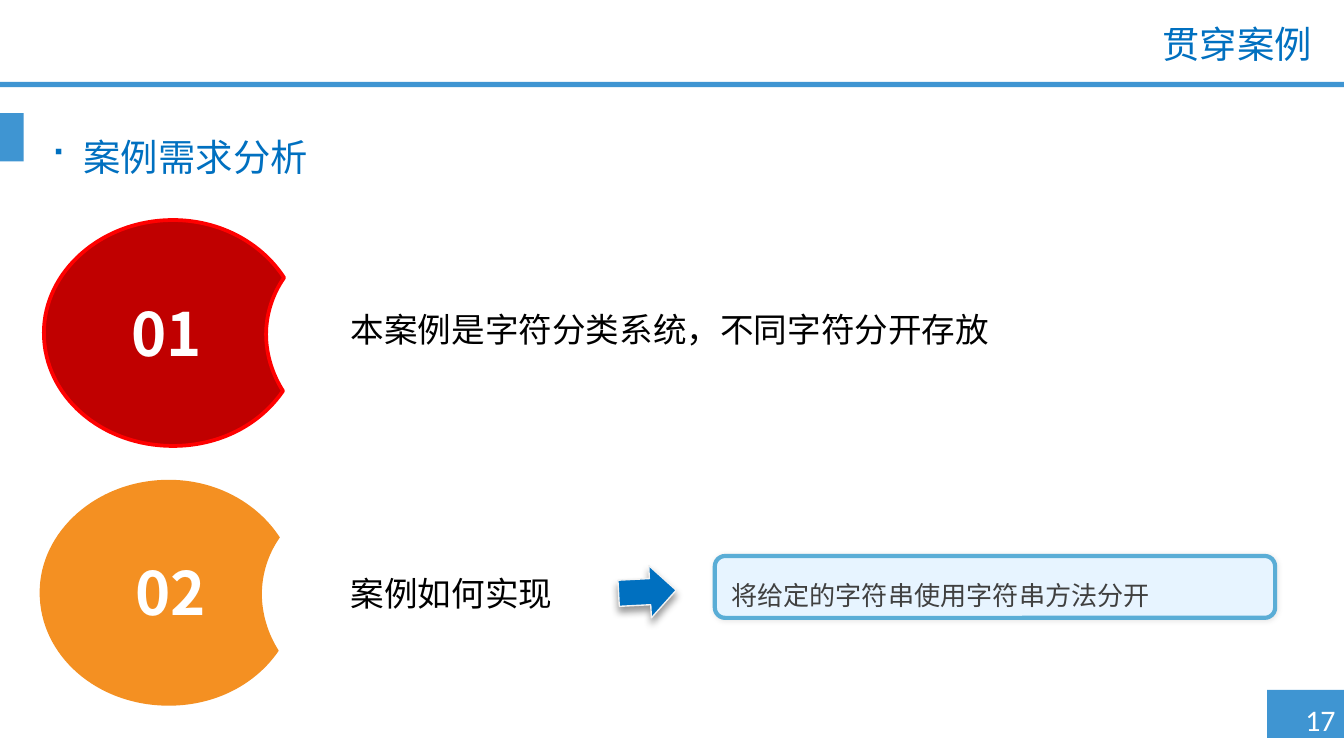
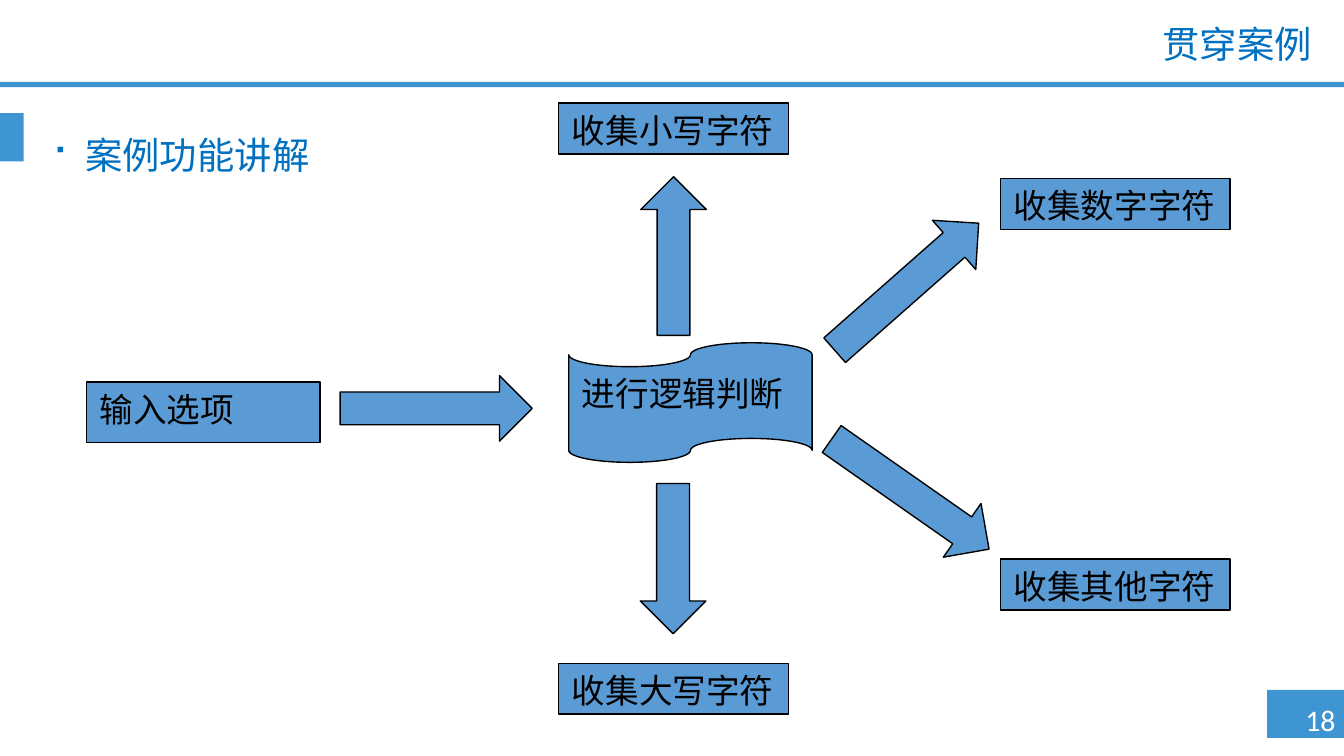
from dataclasses import dataclass, field
from typing import Optional

from lxml import etree
from pptx import Presentation
from pptx import util as u
from pptx.dml import color as dml
from pptx.enum import shapes as es, text as et
from pptx.oxml import ns

HUES = {
    "band": "3F95D2", "title": "0070C0", "white": "FFFFFF", "black": "000000",
    "red": "C00000", "rim": "FF0000", "gold": "F49022", "node": "5B9BD5",
    "pale": "E7F4FF", "edge": "5AADD6", "grey": "404040", "frost": "F2F2F2",
}
CJK, LATIN = "Noto Sans CJK SC", "Calibri"
KIND, ALIGN, ANCHOR = es.MSO_SHAPE, et.PP_ALIGN, et.MSO_ANCHOR

# Format values for each kind of text: font, paragraph and frame attributes
STYLES = {
    "title": {"font": {"size": u.Pt(20)}, "hue": "title",
              "para": {"alignment": ALIGN.RIGHT, "line_spacing": 0.9}},
    "head": {"font": {"size": u.Pt(20)}, "hue": "title", "hang": 0.63, "mark": "■",
             "para": {"line_spacing": u.Pt(25)}},
    "page": {"font": {"size": u.Pt(16)}, "hue": "white", "face": LATIN,
             "para": {"alignment": ALIGN.CENTER}, "frame": {"word_wrap": False}},
    "digit": {"font": {"size": u.Pt(32), "bold": True}, "hue": "white",
              "para": {"alignment": ALIGN.CENTER}},
    "body": {"font": {"size": u.Pt(18)}, "hue": "black"},
    "label": {"font": {"size": u.Pt(18)}, "hue": "black",
              "para": {"alignment": ALIGN.CENTER}, "frame": {"word_wrap": False}},
    "node": {"font": {"size": u.Pt(18)}, "hue": "black",
             "para": {"alignment": ALIGN.LEFT}},
    "note": {"font": {"size": u.Pt(14)}, "hue": "grey", "hang": 0.64,
             "para": {"alignment": ALIGN.LEFT, "line_spacing": 1.5},
             "frame": {"vertical_anchor": ANCHOR.MIDDLE}},
}


@dataclass
class Shade:
    alpha: int
    blur: float
    dist: float = 0
    turn: int = 0


@dataclass
class Look:
    fill: str
    line: Optional[str] = None
    width: float = 0.75
    shade: Optional[Shade] = None


@dataclass
class Label:
    text: str
    style: str
    box: tuple


@dataclass
class Block:
    kind: KIND
    box: tuple
    look: Look
    text: str = ""
    style: str = "node"
    turn: float = 0
    adj: list = field(default_factory=list)


@dataclass
class Moon:
    left: float
    top: float
    look: Look
    digit: Label


NODE = Look("node", "black")
BAND = Look("band")

# Outline of the bitten disc: start point, then cubic curves, in cm
START = (2.44, 0)
CURVES = [
    ((3.33, 0), (4.11, 0.43), (4.54, 1.09)),
    ((4.32, 1.4), (4.2, 1.78), (4.2, 2.16)),
    ((4.2, 2.54), (4.32, 2.92), (4.52, 3.23)),
    ((4.09, 3.86), (3.33, 4.27), (2.44, 4.27)),
    ((1.09, 4.27), (0, 3.33), (0, 2.13)),
    ((0, 0.97), (1.09, 0), (2.44, 0)),
]


def rgb(hue: str) -> dml.RGBColor:
    return dml.RGBColor.from_string(HUES[hue])


def apply(item, values: dict) -> None:
    for name, value in values.items():
        setattr(item, name, value)


def write(shape, text: str, style: str) -> None:
    form = STYLES[style]
    frame = shape.text_frame
    apply(frame, {"word_wrap": True, "vertical_anchor": ANCHOR.TOP,
                  **form.get("frame", {})})
    para = frame.paragraphs[0]
    run = para.add_run()
    run.text = text
    props = para._p.get_or_add_pPr()
    if "hang" in form:
        props.set("marL", str(u.Cm(form["hang"])))
        props.set("indent", str(-u.Cm(form["hang"])))
    if "mark" in form:
        etree.SubElement(props, ns.qn("a:buFont"), typeface="Wingdings")
        etree.SubElement(props, ns.qn("a:buChar"), char=form["mark"])
    apply(para, form.get("para", {}))
    face = form.get("face", CJK)
    apply(run.font, {"name": face, **form["font"]})
    run.font.color.rgb = rgb(form["hue"])
    etree.SubElement(run._r.get_or_add_rPr(), ns.qn("a:ea"), typeface=face)


def cast(shape, shade: Shade) -> None:
    """Give the shape an outer shadow."""
    effects = shape._element.spPr.find(ns.qn("a:effectLst"))
    outer = etree.SubElement(
        effects, ns.qn("a:outerShdw"), blurRad=str(u.Pt(shade.blur)),
        dist=str(u.Pt(shade.dist)), dir=str(shade.turn * 60000),
        algn="ctr", rotWithShape="0")
    tint = etree.SubElement(outer, ns.qn("a:srgbClr"), val=HUES["black"])
    etree.SubElement(tint, ns.qn("a:alpha"), val=str(shade.alpha * 1000))


def paint(shape, look: Look) -> None:
    shape.fill.solid()
    shape.fill.fore_color.rgb = rgb(look.fill)
    if look.line:
        shape.line.color.rgb = rgb(look.line)
        shape.line.width = u.Pt(look.width)
    else:
        shape.line.fill.background()
    shape.shadow.inherit = False
    if look.shade:
        cast(shape, look.shade)


def put_label(slide, label: Label) -> None:
    write(slide.shapes.add_textbox(*map(u.Cm, label.box)), label.text, label.style)


def put_block(slide, block: Block) -> None:
    shape = slide.shapes.add_shape(block.kind, *map(u.Cm, block.box))
    shape.rotation = block.turn
    for index, value in enumerate(block.adj):
        shape.adjustments[index] = value
    paint(shape, block.look)
    if block.text:
        write(shape, block.text, block.style)


def curve(shape) -> None:
    """Turn each three line segments into one cubic curve."""
    lines = list(shape._element.iter(ns.qn("a:lnTo")))
    for first, *rest in zip(lines[::3], lines[1::3], lines[2::3]):
        bend = etree.Element(ns.qn("a:cubicBezTo"))
        first.addprevious(bend)
        for line in (first, *rest):
            bend.append(line[0])
            line.getparent().remove(line)


def put_moon(slide, moon: Moon) -> None:
    def spot(x: float, y: float) -> tuple:
        return u.Cm(moon.left + x), u.Cm(moon.top + y)

    pen = slide.shapes.build_freeform(*spot(*START), scale=1.0)
    pen.add_line_segments([spot(*dot) for bend in CURVES for dot in bend], close=True)
    shape = pen.convert_to_shape()
    curve(shape)
    paint(shape, moon.look)
    put_label(slide, moon.digit)


PUT = {Label: put_label, Block: put_block, Moon: put_moon}


def arrow(left: float, top: float, size: float, turn: float = 0) -> Block:
    return Block(KIND.RIGHT_ARROW, (left, top, size, 1.24), NODE, turn=turn)


def result(text: str, left: float, top: float) -> Block:
    return Block(KIND.FLOWCHART_PROCESS, (left, top, 4.34, 0.96), NODE, text)


def frame_parts(page: int) -> list:
    """Bands, page number and title found on every slide."""
    bands = [(23.95, 13.04, 1.45, 0.91), (0, 1.55, 25.4, 0.1), (0, 2.14, 0.45, 0.91)]
    return [
        *(Block(KIND.RECTANGLE, box, BAND) for box in bands),
        Label(f"{page} ", "page", (24.36, 13.13, 1.32, 0.94)),
        Label("贯穿案例", "title", (6.25, 0.38, 18.8, 1.02)),
    ]


# Needs analysis
NEEDS = [
    Moon(0.83, 4.16, Look("red", "rim", 2),
         Label("01", "digit", (0.93, 5.49, 4.45, 1.63))),
    Label("本案例是字符分类系统，不同字符分开存放", "body", (6.38, 5.72, 13.41, 1.02)),
    Moon(0.75, 9.07, Look("gold"),
         Label("02", "digit", (1, 10.39, 4.45, 1.63))),
    Block(KIND.ROUNDED_RECTANGLE, (13.51, 10.51, 10.59, 1.17),
          Look("pale", "edge", 2.25, Shade(10, 3)),
          "将给定的字符串使用字符串方法分开", "note", adj=[0.167]),
    Block(KIND.DOWN_ARROW, (11.74, 10.64, 0.99, 1.09),
          Look("title", "frost", 0.75, Shade(40, 4, 3, 90)), turn=267),
    Label("案例如何实现", "label", (6.35, 10.7, 4.37, 1.02)),
    Label("案例需求分析", "head", (0.7, 2.38, 7.16, 1.78)),
]

# Function flow: input, decision, four results
MID, SIDE = 10.56, 18.91
FLOW = [
    Block(KIND.FLOWCHART_PUNCHED_TAPE, (10.75, 6.48, 4.6, 2.26), NODE, "进行逻辑判断"),
    Block(KIND.FLOWCHART_PROCESS, (1.63, 7.22, 4.42, 1.14), NODE, "输入选项"),
    arrow(6.43, 7.1, 3.63),
    arrow(15.39, 8.72, 3.63, 35),
    result("收集大写字符", MID, 12.54),
    arrow(11.23, 4.22, 3, 270),
    arrow(11.3, 9.94, 2.84, 90),
    result("收集数字字符", SIDE, 3.38),
    result("收集小写字符", MID, 1.95),
    arrow(15.32, 4.8, 3.63, 318.6),
    result("收集其他字符", SIDE, 10.57),
    Label("案例功能讲解", "head", (0.73, 2.34, 7.16, 1.78)),
]


def main() -> None:
    deck = Presentation()
    apply(deck, {"slide_width": u.Cm(25.4), "slide_height": u.Cm(14.29)})
    for page, parts in enumerate((NEEDS, FLOW), start=17):
        slide = deck.slides.add_slide(deck.slide_layouts[6])
        for part in frame_parts(page) + parts:
            PUT[type(part)](slide, part)
    deck.save("out.pptx")


if __name__ == "__main__":
    main()
